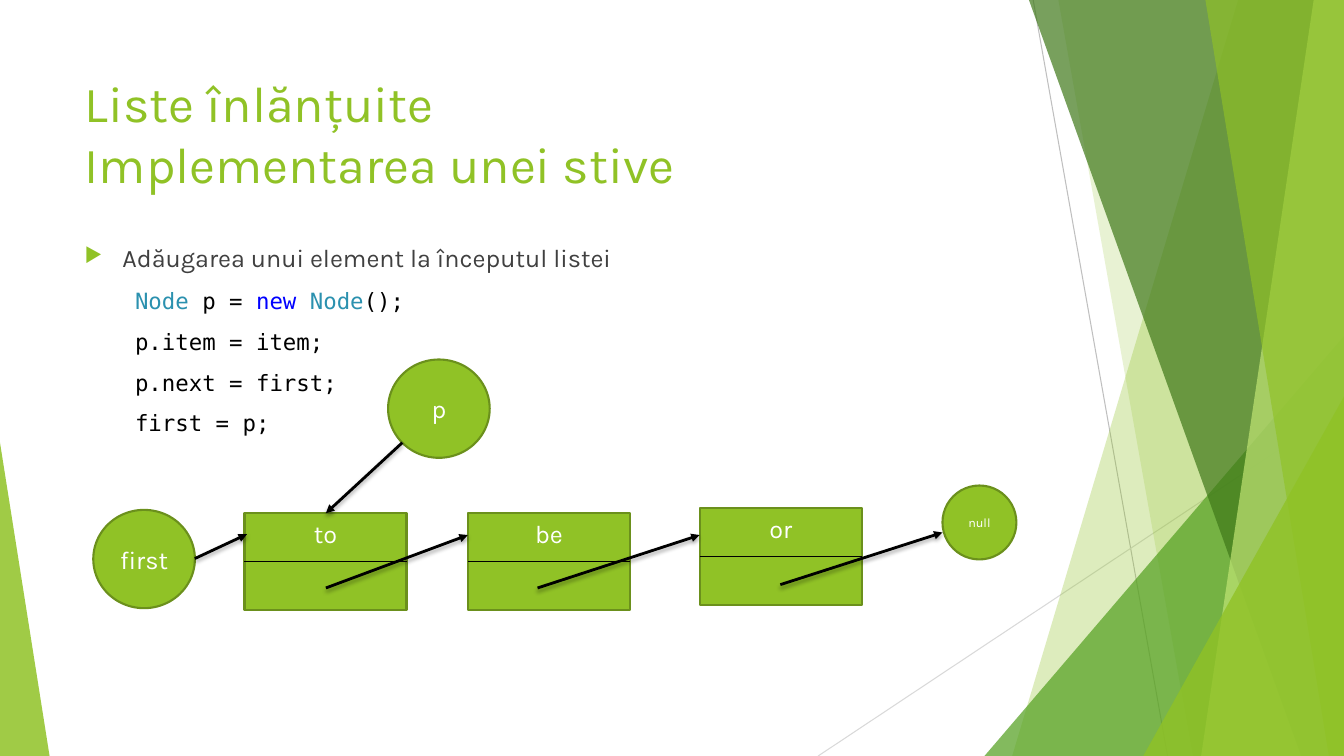
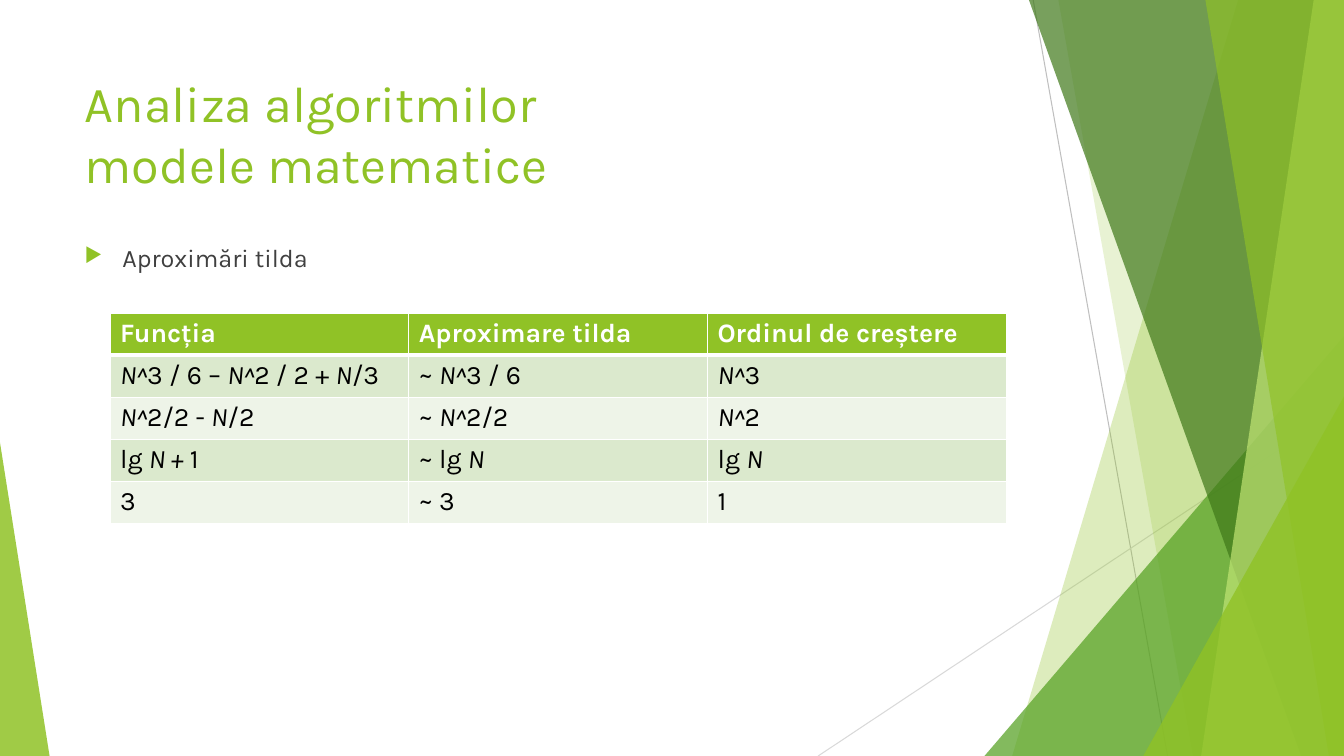
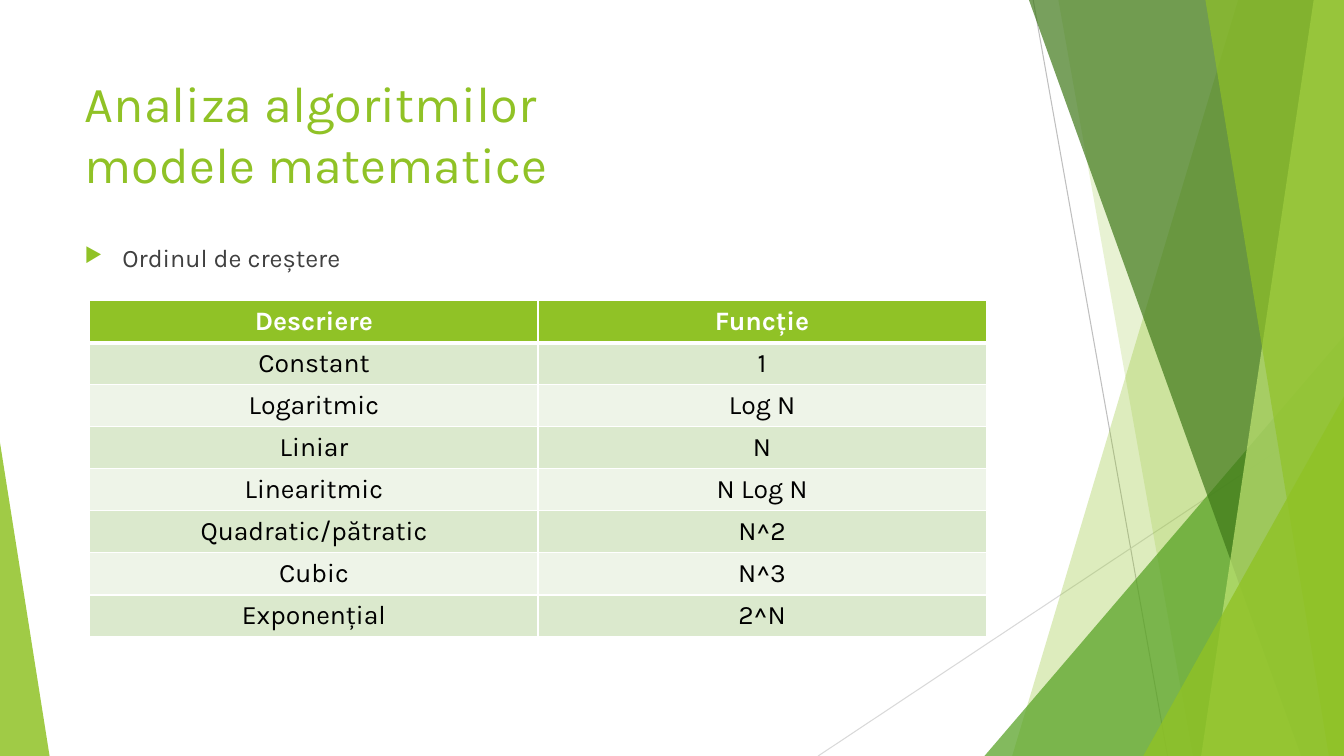
"""Builds three Romanian lecture slides on linked lists and the analysis of algorithms."""
from dataclasses import dataclass
from itertools import product

from lxml import etree
from pptx import Presentation
from pptx.dml.color import RGBColor
from pptx.enum.shapes import MSO_CONNECTOR, MSO_SHAPE
from pptx.enum.text import MSO_ANCHOR, MSO_AUTO_SIZE, PP_ALIGN
from pptx.oxml.ns import qn
from pptx.util import Emu, Pt

STRAIGHT = MSO_CONNECTOR.STRAIGHT
TRIANGLE, OVAL, RECTANGLE = MSO_SHAPE.ISOSCELES_TRIANGLE, MSO_SHAPE.OVAL, MSO_SHAPE.RECTANGLE
TOP, MIDDLE = MSO_ANCHOR.TOP, MSO_ANCHOR.MIDDLE
LEFT, CENTER = PP_ALIGN.LEFT, PP_ALIGN.CENTER

COLUMNS, ROWS = 160, 90
CELL = 76200
TITLE_ONLY = 5
FONT, CODE_FONT = "Karla", "DejaVu Sans Mono"
COLORS = {
    "green": "90C226", "leaf": "54A021", "forest": "3F7819", "lime": "C0E474",
    "outline": "6B901C", "text": "404040", "black": "000000", "white": "FFFFFF",
    "type": "2B91AF", "keyword": "0000FF", "gray": "BFBFBF", "silver": "D9D9D9",
    "band": "DBE9CD", "pale": "EEF4E8",
}


def grid(*cells: float) -> list[Emu]:
    """Turn grid columns or rows into lengths."""
    return [Emu(round(cell * CELL)) for cell in cells]


def rgb(name: str) -> RGBColor:
    """Look up a named colour."""
    return RGBColor.from_string(COLORS[name])


def add_xml(parent, tag: str, **attributes):
    """Append a DrawingML child and return it."""
    return etree.SubElement(parent, qn(f"a:{tag}"), attributes)


def paint(shape, color: str, *, alpha: int = 100, outline: str = "") -> None:
    """Give a shape a flat fill, without shadow."""
    shape.shadow.inherit = False
    shape.fill.solid()
    shape.fill.fore_color.rgb = rgb(color)
    if alpha < 100:
        tint = next(shape.element.spPr.iter(qn("a:srgbClr")))
        add_xml(tint, "alpha", val=str(alpha * 1000))
    if outline:
        shape.line.color.rgb = rgb(outline)
        shape.line.width = Pt(1.5)
    else:
        shape.line.fill.background()


@dataclass(frozen=True)
class Ray:
    """A band from a slanted edge to the right side of the slide."""
    top_x: float
    bottom_x: float
    color: str
    alpha: int

    def draw(self, page) -> None:
        """Draw the band over the full height."""
        corners = [(self.top_x, 0), (COLUMNS, 0), (COLUMNS, ROWS), (self.bottom_x, ROWS)]
        start, *others = [grid(*corner) for corner in corners]
        builder = page.shapes.build_freeform(*start, scale=1.0)
        builder.add_line_segments(others, close=True)
        paint(builder.convert_to_shape(), self.color, alpha=self.alpha)


@dataclass(frozen=True)
class Wedge:
    """A right triangle standing on the bottom edge."""
    left: float
    top: float
    right: float
    peak: float
    color: str
    alpha: int

    def draw(self, page) -> None:
        """Draw the triangle down to the bottom edge."""
        box = grid(self.left, self.top, self.right - self.left, ROWS - self.top)
        wedge = page.shapes.add_shape(TRIANGLE, *box)
        wedge.adjustments[0] = self.peak
        paint(wedge, self.color, alpha=self.alpha)


@dataclass(frozen=True)
class Stroke:
    """A straight line between two grid points."""
    start: tuple[float, float]
    end: tuple[float, float]
    color: str = "black"
    width: float = 1
    arrow: bool = False

    def draw(self, page) -> None:
        """Draw the line, with a head and soft shadow if it is an arrow."""
        line = page.shapes.add_connector(STRAIGHT, *grid(*self.start, *self.end))
        line.line.color.rgb = rgb(self.color)
        line.line.width = Pt(self.width)
        if self.arrow:
            add_xml(line.element.spPr.find(qn("a:ln")), "tailEnd", type="triangle")
        effects = add_xml(line.element.spPr, "effectLst")
        if self.arrow:
            shadow = add_xml(effects, "outerShdw", blurRad=str(Pt(3)), dist=str(Pt(2)),
                             dir="5400000", rotWithShape="0")
            add_xml(add_xml(shadow, "srgbClr", val=COLORS["black"]), "alpha", val="35000")


@dataclass(frozen=True)
class Bubble:
    """A round reference with its label."""
    label: str
    left: float
    top: float
    width: float = 12.1
    height: float = 11.7
    size: float = 18


@dataclass(frozen=True)
class Node:
    """A list node with an item above and a link below."""
    item: str
    left: float
    top: float
    width: float = 19.3
    height: float = 11.5


@dataclass(frozen=True)
class Grid:
    """A table whose cells mark italics with asterisks."""
    left: float
    top: float
    align: PP_ALIGN
    rows: list[list[str]]
    width: float = 106.7
    row_height: float = 4.92


BACKDROP = [
    Stroke((123, 0), (139, 90), "gray", 0.75),
    Stroke((160, 48.4), (97.4, 90), "silver", 0.75),
    Ray(147.4, 120.5, "green", 30),
    Ray(126, 142, "green", 20),
    Wedge(117.2, 40, COLUMNS, 1, "leaf", 72),
    Ray(122.5, 154.9, "forest", 70),
    Ray(156.4, 143, "lime", 70),
    Ray(143.5, 158.2, "green", 65),
    Wedge(136.1, 47.2, COLUMNS, 1, "green", 80),
    Wedge(0, 52.7, 5.9, 0, "green", 85),
]
CODE = [
    [("Node", "type"), (" p = ", "black"), ("new", "keyword"), (" ", "black"),
     ("Node", "type"), ("();", "black")],
    [("p.item = item;", "black")],
    [("p.next = first;", "black")],
    [("first = p;", "black")],
]
NODES = [Node("to", 29.1, 61.1), Node("be", 55.7, 61.1), Node("or", 83.3, 60.5)]
BUBBLES = [Bubble("p", 46.2, 42.8), Bubble("first", 11.1, 60.7),
           Bubble("null", 112.2, 57.8, 8.8, 8.8, 9)]
LINKS = [
    ((47.9, 52.7), (38.8, 61.1)),
    ((23.2, 66.5), (29.4, 63.6)),
    ((38.8, 70), (55.7, 63.7)),
    ((64, 70), (83.3, 63.7)),
    ((92.9, 69.6), (112.2, 63.4)),
]
TILDE_TABLE = Grid(13.1, 37.3, LEFT, [
    ["Funcția", "Aproximare tilda", "Ordinul de creștere"],
    ["*N^*3 / 6 – *N^*2 / 2 + *N*/3", "~ *N^*3 / 6", "*N^*3"],
    ["*N^*2/2 - *N*/2", "~ *N^*2/2", "*N^*2"],
    ["lg *N + *1", "~ lg *N*", "lg *N*"],
    ["3", "~ 3", "1"],
])
GROWTH_TABLE = Grid(10.7, 35.8, CENTER, [
    ["Descriere", "Funcție"],
    ["Constant", "1"],
    ["Logaritmic", "Log N"],
    ["Liniar", "N"],
    ["Linearitmic", "N Log N"],
    ["Quadratic/pătratic", "N^2"],
    ["Cubic", "N^3"],
    ["Exponențial", "2^N"],
])


def write(para, text: str, *, size: float = 18, color: str = "white", font: str = FONT,
          bold: bool = False, italic: bool = False) -> None:
    """Add one formatted span to a paragraph."""
    span = para.add_run()
    span.text = text
    span.font.name, span.font.size = font, Pt(size)
    span.font.bold, span.font.italic = bold, italic
    span.font.color.rgb = rgb(color)


def move_to_layout(page) -> None:
    """Draw the backdrop once and hand it to the layout behind every slide."""
    tree = page.slide_layout.shapes.element
    before = list(page.shapes)
    for part in BACKDROP:
        part.draw(page)
    for index, shape in enumerate(list(page.shapes)[len(before):]):
        next(shape.element.iter(qn("p:cNvPr"))).set("id", str(100 + index))
        tree.insert(2 + index, shape.element)


def add_page(deck, title: str, topic: str):
    """Add a slide with its title and bulleted topic; return it with the body frame."""
    page = deck.slides.add_slide(deck.slide_layouts[TITLE_ONLY])
    heading = page.shapes.title
    heading.left, heading.top, heading.width, heading.height = grid(8.9, 8, 112.8, 17.3)
    frame = heading.text_frame
    frame.text = title
    frame.auto_size, frame.vertical_anchor = MSO_AUTO_SIZE.NONE, TOP
    para = frame.paragraphs[0]
    para.alignment = LEFT
    for span in para.runs:
        span.font.name, span.font.size = FONT, Pt(36)
        span.font.color.rgb = rgb("green")

    body = page.shapes.add_textbox(*grid(8.9, 28.3, 112.8, 50.9)).text_frame
    body.word_wrap = True
    para = body.paragraphs[0]
    para.space_before = Pt(10)
    write(para, topic, color="text")
    props = para._p.get_or_add_pPr()
    indent = grid(4.5)[0]
    props.set("marL", str(indent))
    props.set("indent", str(-indent))
    add_xml(add_xml(props, "buClr"), "srgbClr", val=COLORS["green"])
    add_xml(props, "buSzPct", val="80000")
    add_xml(props, "buChar", char="▶")
    return page, body


def add_code(body) -> None:
    """Write the code lines under the topic."""
    for line in CODE:
        para = body.add_paragraph()
        para.space_before = Pt(10)
        para._p.get_or_add_pPr().set("marL", str(grid(6)[0]))
        for text, color in line:
            write(para, text, size=16, color=color, font=CODE_FONT)


def add_labelled(page, kind, part: Node | Bubble, text: str, *, anchor, size: float = 18) -> None:
    """Draw a green outlined shape with a centred label."""
    shape = page.shapes.add_shape(kind, *grid(part.left, part.top, part.width, part.height))
    paint(shape, "green", outline="outline")
    frame = shape.text_frame
    frame.word_wrap, frame.vertical_anchor = False, anchor
    frame.paragraphs[0].alignment = CENTER
    write(frame.paragraphs[0], text, size=size)


def add_list_diagram(page) -> None:
    """Draw the linked list with its references and links."""
    for node in NODES:
        add_labelled(page, RECTANGLE, node, node.item, anchor=TOP)
        middle = node.top + node.height / 2
        Stroke((node.left, middle), (node.left + node.width, middle)).draw(page)
    for bubble in BUBBLES:
        add_labelled(page, OVAL, bubble, bubble.label, anchor=MIDDLE, size=bubble.size)
    for start, end in LINKS:
        Stroke(start, end, width=2, arrow=True).draw(page)


def add_borders(cell, *, top: float, bottom: float) -> None:
    """Give a cell white borders."""
    props = cell._tc.get_or_add_tcPr()
    for side, width in (("L", 1), ("R", 1), ("T", top), ("B", bottom)):
        border = add_xml(props, f"ln{side}", w=str(Pt(width)))
        add_xml(add_xml(border, "solidFill"), "srgbClr", val=COLORS["white"])


def add_grid(page, spec: Grid) -> None:
    """Draw a table with a green header and banded rows."""
    row_count, column_count = len(spec.rows), len(spec.rows[0])
    box = grid(spec.left, spec.top, spec.width, spec.row_height * row_count)
    table = page.shapes.add_table(row_count, column_count, *box).table
    for row, column in product(range(row_count), range(column_count)):
        cell, header = table.cell(row, column), row == 0
        add_borders(cell, top=3 if row == 1 else 1, bottom=3 if header else 1)
        cell.fill.solid()
        cell.fill.fore_color.rgb = rgb("green" if header else ("pale", "band")[row % 2])
        para = cell.text_frame.paragraphs[0]
        para.alignment = spec.align
        for index, text in enumerate(spec.rows[row][column].split("*")):
            if text:
                write(para, text, size=19, color="white" if header else "black",
                      bold=header, italic=index % 2 == 1)


def main() -> None:
    """Build and save the deck."""
    deck = Presentation()
    deck.slide_width, deck.slide_height = grid(COLUMNS, ROWS)
    page, body = add_page(deck, "Liste înlănțuite\vImplementarea unei stive",
                          "Adăugarea unui element la începutul listei")
    move_to_layout(page)
    add_code(body)
    add_list_diagram(page)
    for topic, spec in (("Aproximări tilda", TILDE_TABLE), ("Ordinul de creștere", GROWTH_TABLE)):
        page, _ = add_page(deck, "Analiza algoritmilor\vmodele matematice", topic)
        add_grid(page, spec)
    deck.save("out.pptx")


if __name__ == "__main__":
    main()
